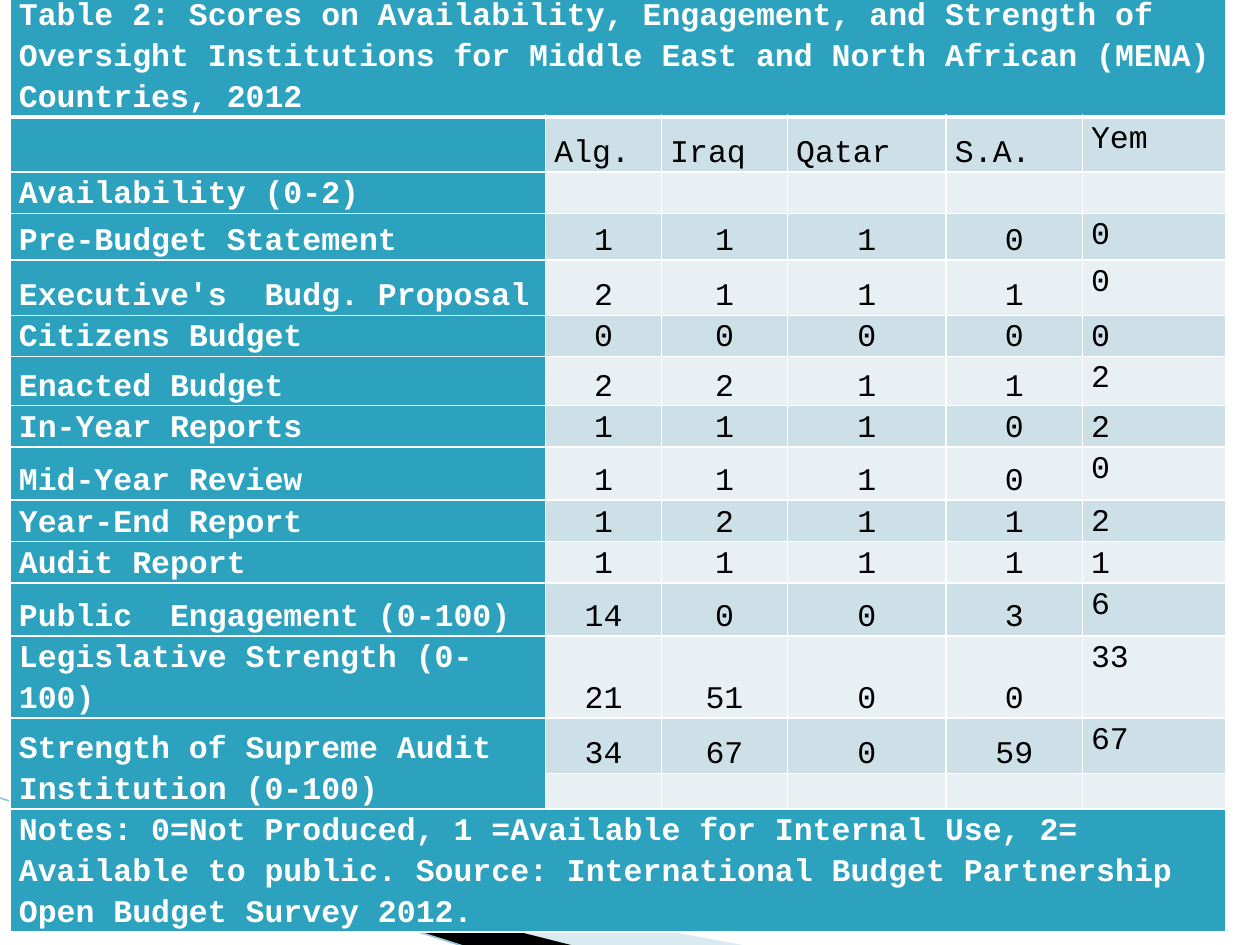
from lxml import etree
from pptx import Presentation
from pptx.dml.color import RGBColor
from pptx.enum.shapes import MSO_CONNECTOR
from pptx.enum.text import MSO_ANCHOR, PP_ALIGN
from pptx.oxml.ns import qn
from pptx.util import Inches, Pt

STRAIGHT = MSO_CONNECTOR.STRAIGHT
TOP, BOTTOM = MSO_ANCHOR.TOP, MSO_ANCHOR.BOTTOM
LEFT, CENTER = PP_ALIGN.LEFT, PP_ALIGN.CENTER

COLORS = {
    "header": "2DA2BF", "dark band": "CDE0E8", "light band": "E8F0F4",
    "white": "FFFFFF", "black": "000000", "wedge": "A0CBDC", "edge": "97C5D8",
}
TITLE = ("Table 2: Scores on Availability, Engagement, and Strength of Oversight "
         "Institutions for Middle East and North African (MENA) Countries, 2012")
NOTES = ("Notes: 0=Not Produced, 1 =Available for Internal Use, 2= Available to public. "
         "Source: International Budget Partnership Open Budget Survey 2012.")
BLANK = [""] * 5
ROWS = [
    (0.67, TITLE, BLANK),
    (0.44, "", ["Alg.", "Iraq", "Qatar", "S.A.", "Yem"]),
    (0.30, "Availability (0-2)", BLANK),
    (0.37, "Pre-Budget Statement", [1, 1, 1, 0, 0]),
    (0.44, "Executive's  Budg. Proposal", [2, 1, 1, 1, 0]),
    (0.31, "Citizens Budget", [0, 0, 0, 0, 0]),
    (0.39, "Enacted Budget", [2, 2, 1, 1, 2]),
    (0.33, "In-Year Reports", [1, 1, 1, 0, 2]),
    (0.42, "Mid-Year Review", [1, 1, 1, 0, 0]),
    (0.33, "Year-End Report", [1, 2, 1, 1, 2]),
    (0.33, "Audit Report", [1, 1, 1, 1, 1]),
    (0.42, "Public  Engagement (0-100)", [14, 0, 0, 3, 6]),
    (0.44, "Legislative Strength (0-100)", [21, 51, 0, 0, 33]),
    (0.44, "Strength of Supreme Audit Institution (0-100)", [34, 67, 0, 59, 67]),
    (0.23, "", BLANK),
    (0.55, NOTES, BLANK),
]
COLUMN_WIDTHS = [4.25, 0.92, 1, 1.26, 1.08, 1.14]
CELL_FORMAT = {"margin_left": Inches(0.07), "margin_right": Inches(0.07),
               "margin_top": 0, "margin_bottom": 0}
WEDGES = [
    ("wedge", [(0.55, 6.51), (5.95, 7.51), (4.56, 7.51), (0.55, 6.5)]),
    ("black", [(0.53, 6.49), (4.57, 7.51), (3.72, 7.52), (0.54, 6.5)]),
]


def rgb(name):
    return RGBColor.from_string(COLORS[name])


def add_borders(cell, widths):
    """Draw white cell borders; widths maps each side (L, R, T, B) to points."""
    properties = cell._tc.get_or_add_tcPr()
    for position, (side, width) in enumerate(widths.items()):
        line = etree.Element(qn(f"a:ln{side}"), w=str(Pt(width)))
        fill = etree.SubElement(line, qn("a:solidFill"))
        etree.SubElement(fill, qn("a:srgbClr"), val=COLORS["white"])
        properties.insert(position, line)


deck = Presentation()
deck.slide_width, deck.slide_height = Inches(10), Inches(7.5)
page = deck.slides.add_slide(deck.slide_layouts[6])

# Corner decoration behind the table
for color, points in WEDGES:
    corners = [(Inches(x), Inches(y)) for x, y in points]
    builder = page.shapes.build_freeform(*corners[0], scale=1.0)
    builder.add_line_segments(corners[1:], close=True)
    wedge = builder.convert_to_shape()
    wedge.shadow.inherit = False
    wedge.fill.solid()
    wedge.fill.fore_color.rgb = rgb(color)
    wedge.line.fill.background()
    if color == "wedge":
        tint = wedge._element.spPr.find(f"{qn('a:solidFill')}/{qn('a:srgbClr')}")
        etree.SubElement(tint, qn("a:alpha"), val="40000")

edge = page.shapes.add_connector(STRAIGHT, Inches(-0.01), Inches(6.33), Inches(3.71), Inches(7.52))
edge.line.color.rgb = rgb("edge")
edge.line.width = Pt(0.95)
etree.SubElement(edge._element.spPr, qn("a:effectLst"))

# Score table
table = page.shapes.add_table(len(ROWS), len(COLUMN_WIDTHS), Inches(0.08), Inches(-0.05),
                              Inches(9.65), Inches(6.81)).table
for column, width in zip(table.columns, COLUMN_WIDTHS):
    column.width = Inches(width)

last_row, last_column = len(ROWS) - 1, len(COLUMN_WIDTHS) - 1
for row_index, (height, label, scores) in enumerate(ROWS):
    table.rows[row_index].height = Inches(height)
    for column_index, text in enumerate([label, *scores]):
        cell = table.cell(row_index, column_index)
        is_header = column_index == 0 or row_index in (0, last_row)
        is_score = 0 < column_index < last_column and row_index > 1
        for name, value in CELL_FORMAT.items():
            setattr(cell, name, value)
        cell.vertical_anchor = TOP if column_index == last_column else BOTTOM
        band = "dark band" if row_index % 2 else "light band"
        cell.fill.solid()
        cell.fill.fore_color.rgb = rgb("header" if is_header else band)
        add_borders(cell, {"L": 1, "R": 1, "T": 3 if row_index == 1 else 1,
                           "B": 3 if row_index == 0 else 1})

        para = cell.text_frame.paragraphs[0]
        para.line_spacing = 1.15
        para.alignment = CENTER if is_score else LEFT
        span = para.add_run()
        span.text = str(text)
        font_format = {"name": "Courier New", "size": Pt(18), "bold": is_header}
        for name, value in font_format.items():
            setattr(span.font, name, value)
        span.font.color.rgb = rgb("white" if is_header else "black")

for row_index in (0, last_row):
    table.cell(row_index, 0).merge(table.cell(row_index, last_column))
table.cell(last_row - 2, 0).merge(table.cell(last_row - 1, 0))

deck.save("out.pptx")
